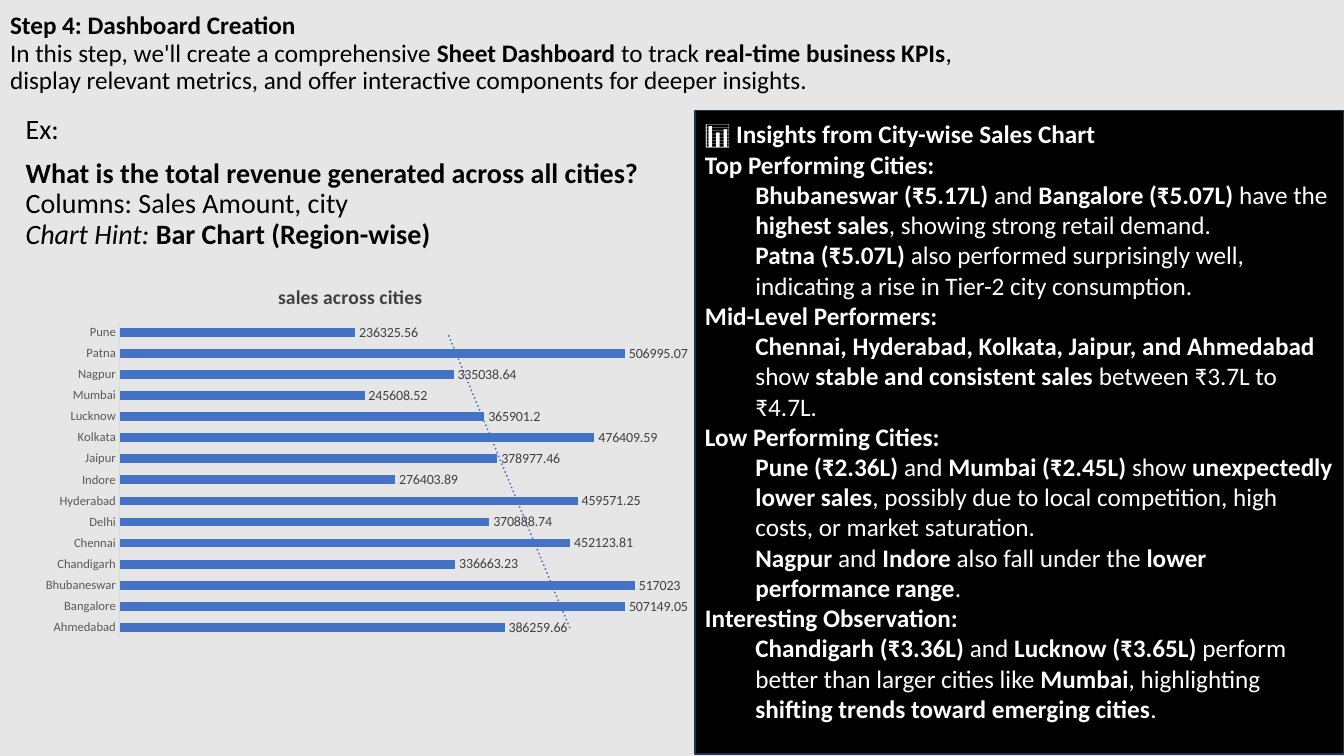
from lxml import etree
from pptx import Presentation
from pptx.chart.data import CategoryChartData
from pptx.dml.color import RGBColor
from pptx.enum.chart import XL_CHART_TYPE as ChartType, XL_LABEL_POSITION as LabelPosition
from pptx.enum.chart import XL_TICK_MARK as TickMark
from pptx.enum.shapes import MSO_SHAPE as Preset
from pptx.enum.text import MSO_ANCHOR as Anchor, MSO_AUTO_SIZE as AutoSize, PP_ALIGN as Align
from pptx.oxml import parse_xml
from pptx.oxml.ns import nsdecls, qn
from pptx.util import Pt

PX = 9525
FONT = "Calibri"
BLACK, WHITE, BLUE = "000000", "FFFFFF", "4472C4"

# Bold passages stand between bars
TITLE = ("|Step 4: Dashboard Creation\n|In this step, we'll create a comprehensive "
         "|Sheet Dashboard| to track |real-time business KPIs|, display relevant metrics, "
         "and offer interactive components for deeper insights.")

INSIGHTS = [
    ("📊 Insights from City-wise Sales Chart", []),
    ("Top Performing Cities:", [
        "|Bhubaneswar (₹5.17L)| and |Bangalore (₹5.07L)| have the |highest sales|, "
        "showing strong retail demand.",
        "|Patna (₹5.07L)| also performed surprisingly well, indicating a rise in "
        "Tier-2 city consumption."]),
    ("Mid-Level Performers:", [
        "|Chennai, Hyderabad, Kolkata, Jaipur, and Ahmedabad| show "
        "|stable and consistent sales| between ₹3.7L to ₹4.7L."]),
    ("Low Performing Cities:", [
        "|Pune (₹2.36L)| and |Mumbai (₹2.45L)| show |unexpectedly lower sales|, possibly "
        "due to local competition, high costs, or market saturation.",
        "|Nagpur| and |Indore| also fall under the |lower performance range|."]),
    ("Interesting Observation:", [
        "|Chandigarh (₹3.36L)| and |Lucknow (₹3.65L)| perform better than larger cities "
        "like |Mumbai|, highlighting |shifting trends toward emerging cities|."]),
]

SALES = {
    "Ahmedabad": 386259.66, "Bangalore": 507149.05, "Bhubaneswar": 517023,
    "Chandigarh": 336663.23, "Chennai": 452123.81, "Delhi": 370888.74,
    "Hyderabad": 459571.25, "Indore": 276403.89, "Jaipur": 378977.46,
    "Kolkata": 476409.59, "Lucknow": 365901.2, "Mumbai": 245608.52,
    "Nagpur": 335038.64, "Patna": 506995.07, "Pune": 236325.56,
}


def color(value):
    return RGBColor.from_string(value)


def emu(*lengths):
    return [length * PX for length in lengths]


def style_font(font, size, tint, bold=False, italic=False):
    font.name, font.size = FONT, Pt(size)
    font.bold, font.italic = bold, italic
    font.color.rgb = color(tint)


def add_run(paragraph, text, size, tint, bold=False, italic=False):
    run = paragraph.add_run()
    run.text = text.rstrip("\n")
    style_font(run.font, size, tint, bold, italic)
    if text.endswith("\n"):
        paragraph.add_line_break()


def add_marked_runs(paragraph, text, size, tint):
    for index, part in enumerate(text.split("|")):
        if part:
            add_run(paragraph, part, size, tint, bold=index % 2 == 1)


def set_frame(frame, anchor):
    frame.word_wrap, frame.auto_size = True, AutoSize.NONE
    frame.vertical_anchor = anchor


def manual_layout(**values):
    layout = parse_xml(f"<c:layout {nsdecls('c')}><c:manualLayout/></c:layout>")
    for name, value in values.items():
        etree.SubElement(layout[0], qn(f"c:{name}")).set("val", str(value))
    return layout


# Heading
def add_heading(slide, box):
    title = slide.shapes.title
    title.left, title.top, title.width, title.height = emu(*box)
    set_frame(title.text_frame, Anchor.BOTTOM)
    paragraph = title.text_frame.paragraphs[0]
    paragraph.alignment, paragraph.line_spacing = Align.LEFT, 0.9
    add_marked_runs(paragraph, TITLE, 18, BLACK)


# Example question
def add_question(slide, box):
    frame = slide.shapes.add_textbox(*emu(*box)).text_frame
    set_frame(frame, Anchor.TOP)
    example, question = frame.paragraphs[0], frame.add_paragraph()
    for paragraph in (example, question):
        paragraph.line_spacing, paragraph.space_before = 0.9, Pt(10)
    add_run(example, "Ex:", 20, BLACK)
    add_run(question, "What is the total revenue generated across all cities?\n", 20, BLACK, bold=True)
    add_run(question, "Columns: Sales Amount, city\n", 20, BLACK)
    add_run(question, "Chart Hint: ", 20, BLACK, italic=True)
    add_run(question, "Bar Chart (Region-wise)", 20, BLACK, bold=True)


# Bar chart with trend line
def add_sales_chart(slide, box):
    data = CategoryChartData()
    data.categories = list(SALES)
    data.add_series("Series 1", list(SALES.values()))
    chart = slide.shapes.add_chart(ChartType.BAR_CLUSTERED, *emu(*box), data).chart
    style_font(chart.font, 10, BLACK)
    chart.has_legend = False

    chart.has_title = True
    title = chart.chart_title
    add_run(title.text_frame.paragraphs[0], "sales across cities", 14, "404040", bold=True)
    title.include_in_layout = False
    for old in title._element.findall(qn("c:layout")):
        title._element.remove(old)
    title._element.find(qn("c:tx")).addnext(
        manual_layout(xMode="edge", yMode="edge", x=0.35, y=0.04))

    plot_area = chart._chartSpace.chart.plotArea
    for old in plot_area.findall(qn("c:layout")):
        plot_area.remove(old)
    plot_area.insert(0, manual_layout(layoutTarget="inner", xMode="edge", yMode="edge",
                                      x=0.13, y=0.15, w=0.85, h=0.83))

    cities, amounts = chart.category_axis, chart.value_axis
    cities.major_tick_mark = cities.minor_tick_mark = TickMark.NONE
    style_font(cities.tick_labels.font, 9, "595959")
    cities.format.line.color.rgb = color("D9D9D9")
    cities.format.line.width = Pt(0.75)
    amounts.minimum_scale, amounts.maximum_scale = 0, 600000
    amounts.has_major_gridlines = False
    amounts.visible = False

    plot = chart.plots[0]
    plot.gap_width, plot.overlap, plot.vary_by_categories = 140, -40, False
    series = plot.series[0]
    series.format.fill.solid()
    series.format.fill.fore_color.rgb = color(BLUE)
    labels = series.data_labels
    labels.show_value, labels.position = True, LabelPosition.OUTSIDE_END
    style_font(labels.font, 10, "404040")
    series._element.find(qn("c:cat")).addprevious(parse_xml(
        f'<c:trendline {nsdecls("c", "a")}><c:spPr><a:ln w="19050" cap="rnd"><a:solidFill>'
        f'<a:srgbClr val="{BLUE}"/></a:solidFill><a:prstDash val="sysDot"/></a:ln></c:spPr>'
        '<c:trendlineType val="linear"/><c:dispRSqr val="0"/><c:dispEq val="0"/></c:trendline>'))


# Insights panel
def add_insights(slide, box):
    panel = slide.shapes.add_shape(Preset.RECTANGLE, *emu(*box))
    panel.shadow.inherit = False
    panel.fill.solid()
    panel.fill.fore_color.rgb = color(BLACK)
    panel.line.color.rgb = color("1E3256")
    panel.line.width = Pt(1)
    frame = panel.text_frame
    set_frame(frame, Anchor.TOP)
    frame.margin_top = 8 * PX

    lines = []
    for heading, details in INSIGHTS:
        lines.append((0, f"|{heading}"))
        lines += [(1, detail) for detail in details]
    for index, (level, text) in enumerate(lines):
        paragraph = frame.add_paragraph() if index else frame.paragraphs[0]
        paragraph.alignment, paragraph.level = Align.LEFT, level
        properties = paragraph._p.get_or_add_pPr()
        properties.set("marL", str(level * 48 * PX))
        properties.set("indent", "0")
        add_marked_runs(paragraph, text, 18, WHITE)


def main():
    presentation = Presentation()
    presentation.slide_width, presentation.slide_height = emu(1280, 720)
    slide = presentation.slides.add_slide(presentation.slide_layouts[5])
    slide.background.fill.solid()
    slide.background.fill.fore_color.rgb = color("E7E6E6")
    add_heading(slide, (0, 12, 960, 83))
    add_question(slide, (15, 105, 640, 140))
    add_sales_chart(slide, (27, 252, 670, 363))
    add_insights(slide, (662, 105, 618, 613))
    presentation.save("out.pptx")


if __name__ == "__main__":
    main()
